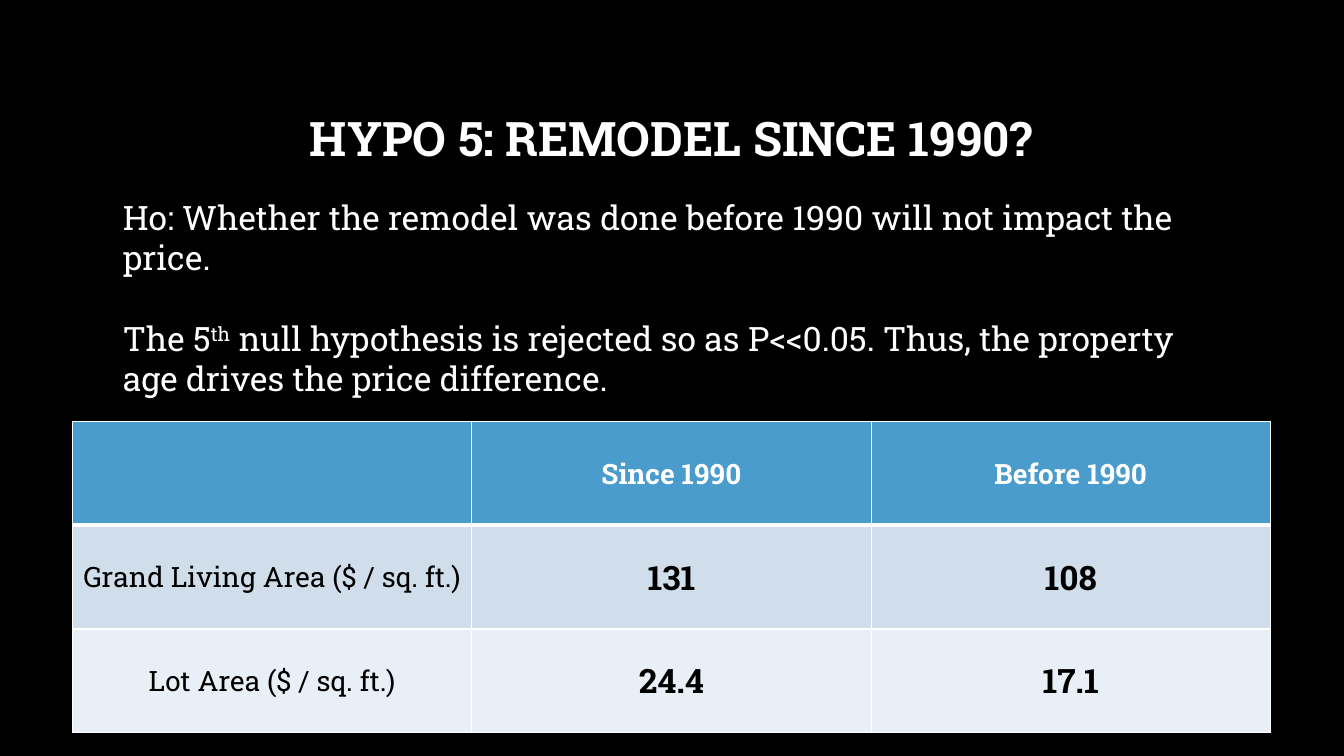
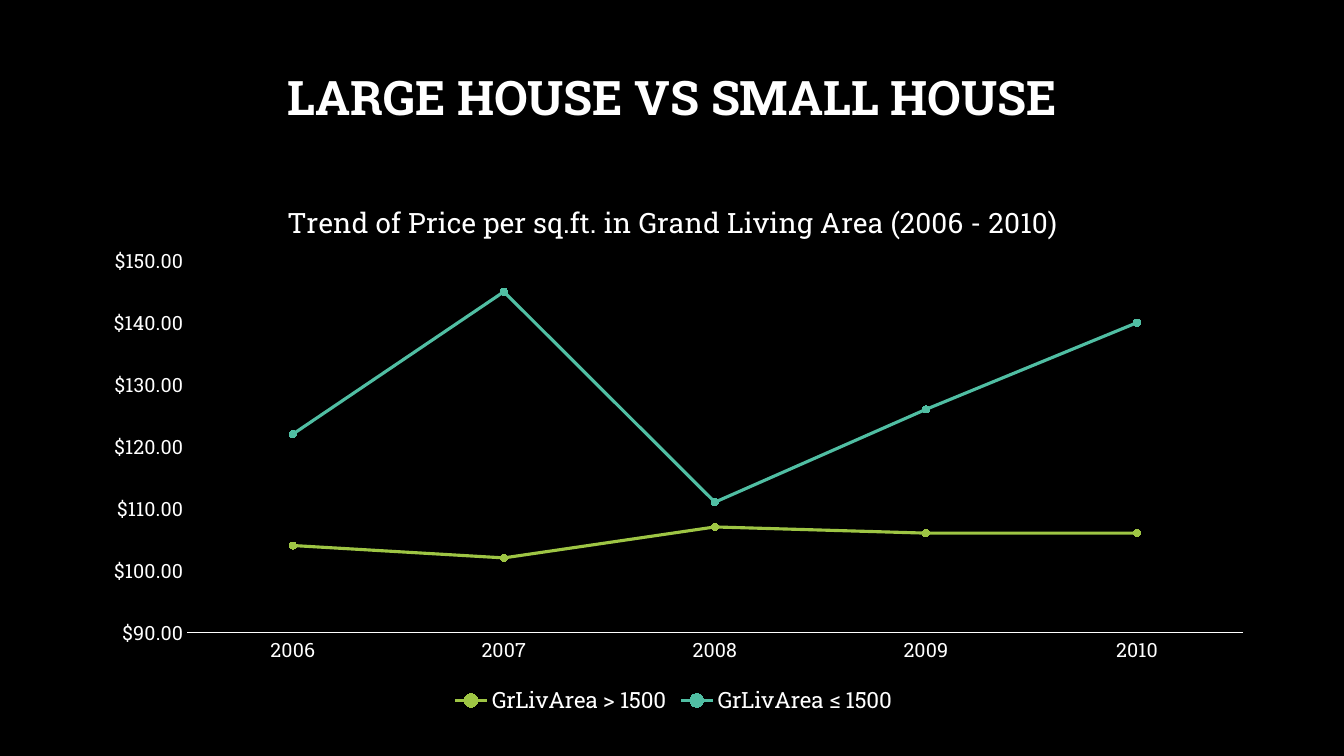
from lxml import etree
from pptx import Presentation
from pptx.chart.data import CategoryChartData
from pptx.dml.color import RGBColor
from pptx.enum.chart import XL_CHART_TYPE, XL_LEGEND_POSITION, XL_MARKER_STYLE, XL_TICK_MARK
from pptx.enum.text import MSO_ANCHOR, PP_ALIGN
from pptx.oxml import parse_xml
from pptx.oxml.ns import nsdecls, qn
from pptx.util import Inches, Pt

CENTER = PP_ALIGN.CENTER
MIDDLE = MSO_ANCHOR.MIDDLE
NO_TICK = XL_TICK_MARK.NONE
FONT = "Roboto Slab"
COLORS = {
    "background": "000000", "light": "FFFFFF", "dark": "000000",
    "header": "4A9CCC", "band_dark": "D0DEEC", "band_light": "E9EFF6",
    "large_house": "9EC544", "small_house": "50BEA3",
}


def color(name):
    return RGBColor.from_string(COLORS[name])


def style_font(font, size, color_name="light", bold=False):
    font.name = FONT
    font.size = Pt(size)
    font.bold = bold
    font.color.rgb = color(color_name)


prs = Presentation()
prs.slide_width, prs.slide_height = Inches(13.33), Inches(7.5)
background = prs.slide_master.background.fill
background.solid()
background.fore_color.rgb = color("background")

# Titles
slides = []
for title_text, left, top in [
    ("HYPO 5: REMODEL SINCE 1990?", 1, 0.67),
    ("LARGE HOUSE VS SMALL HOUSE", 1.01, 0.27),
]:
    slide = prs.slides.add_slide(prs.slide_layouts[5])
    title = slide.shapes.title
    title.left, title.top = Inches(left), Inches(top)
    title.width, title.height = Inches(11.32), Inches(1.45)
    title.text_frame.vertical_anchor = MIDDLE
    paragraph = title.text_frame.paragraphs[0]
    paragraph.alignment = CENTER
    paragraph.line_spacing = 0.9
    run = paragraph.add_run()
    run.text = title_text
    style_font(run.font, 34, bold=True)
    slides.append(slide)
hypothesis_slide, trend_slide = slides

# Price comparison table
table_rows = [
    ["", "Since 1990", "Before 1990"],
    ["Grand Living Area ($ / sq. ft.)", "131", "108"],
    ["Lot Area ($ / sq. ft.)", "24.4", "17.1"],
]
row_fills = ["header", "band_dark", "band_light"]
price_table = hypothesis_slide.shapes.add_table(
    3, 3, Inches(0.72), Inches(4.18), Inches(11.88), Inches(3.09)).table
price_table.first_row = False
price_table.horz_banding = False
for r, row in enumerate(table_rows):
    for c, cell_text in enumerate(row):
        cell = price_table.cell(r, c)
        cell.fill.solid()
        cell.fill.fore_color.rgb = color(row_fills[r])
        cell.vertical_anchor = MIDDLE
        paragraph = cell.text_frame.paragraphs[0]
        paragraph.alignment = CENTER
        if cell_text:
            is_header, is_value = r == 0, r > 0 and c > 0
            run = paragraph.add_run()
            run.text = cell_text
            style_font(run.font, 24 if is_value else 20,
                       "light" if is_header else "dark", is_header or is_value)

        # White borders, with a thicker rule below the header
        cell_properties = cell._tc.get_or_add_tcPr()
        for i, side in enumerate(["lnL", "lnR", "lnT", "lnB"]):
            under_header = (r, side) in [(0, "lnB"), (1, "lnT")]
            cell_properties.insert(i, parse_xml(
                f'<a:{side} {nsdecls("a")} w="{Pt(3 if under_header else 1)}">'
                f'<a:solidFill><a:srgbClr val="{COLORS["light"]}"/></a:solidFill></a:{side}>'))

# Hypothesis and finding
hypothesis_box = hypothesis_slide.shapes.add_textbox(
    Inches(1.12), Inches(1.9), Inches(11.08), Inches(2.12))
hypothesis_frame = hypothesis_box.text_frame
hypothesis_frame.word_wrap = True
statements = [
    ["Ho: Whether the remodel was done before 1990 will not impact the price."],
    ["The 5", "th", " null hypothesis is rejected so as P<<0.05. "
     "Thus, the property age drives the price difference."],
]
for i, statement in enumerate(statements):
    paragraph = hypothesis_frame.add_paragraph() if i else hypothesis_frame.paragraphs[0]
    paragraph.space_before = Pt(29 * i)
    for part in statement:
        run = paragraph.add_run()
        run.text = part
        style_font(run.font, 24)
        if part == "th":
            run.font._element.set("baseline", "30000")

# Price trend chart
trend_data = CategoryChartData()
trend_data.categories = ["2006", "2007", "2008", "2009", "2010"]
trend_data.add_series("GrLivArea > 1500", [104, 102, 107, 106, 106])
trend_data.add_series("GrLivArea ≤ 1500", [122, 145, 111, 126, 140])
chart = trend_slide.shapes.add_chart(
    XL_CHART_TYPE.LINE_MARKERS, Inches(0.8), Inches(1.72),
    Inches(11.76), Inches(5.42), trend_data).chart
style_font(chart.font, 10)

chart.has_title = True
run = chart.chart_title.text_frame.paragraphs[0].add_run()
run.text = "Trend of Price per sq.ft. in Grand Living Area (2006 - 2010)"
style_font(run.font, 20)
chart.has_legend = True
chart.legend.position = XL_LEGEND_POSITION.BOTTOM
chart.legend.include_in_layout = False
style_font(chart.legend.font, 16)

# Axes
year_axis, price_axis = chart.category_axis, chart.value_axis
for axis in (year_axis, price_axis):
    axis.major_tick_mark = axis.minor_tick_mark = NO_TICK
    axis.has_major_gridlines = False
    style_font(axis.tick_labels.font, 14)
year_axis.format.line.color.rgb = color("light")
year_axis.format.line.width = Pt(0.75)
price_axis.format.line.fill.background()
price_axis.minimum_scale, price_axis.maximum_scale = 90, 150
price_axis.major_unit = 10
price_axis.tick_labels.number_format = '"$"#,##0.00'
price_axis.tick_labels.number_format_is_linked = False

# Series
for series, color_name in zip(chart.plots[0].series, ["large_house", "small_house"]):
    series.smooth = False
    series.format.line.color.rgb = color(color_name)
    series.format.line.width = Pt(2.25)
    series.marker.style = XL_MARKER_STYLE.CIRCLE
    series.marker.size = 5
    series.marker.format.fill.solid()
    series.marker.format.fill.fore_color.rgb = color(color_name)
    series.marker.format.line.color.rgb = color(color_name)

# Places of the chart title and the plot, as shares of the chart
chart_xml = chart._chartSpace.chart
for owner, after, settings in [
    (chart_xml.find(qn("c:title")), "c:tx",
     [("xMode", "edge"), ("yMode", "edge"), ("x", 0.17), ("y", 0.04)]),
    (chart_xml.plotArea, None,
     [("layoutTarget", "inner"), ("xMode", "edge"), ("yMode", "edge"),
      ("x", 0.09), ("y", 0.16), ("w", 0.89), ("h", 0.68)]),
]:
    for old_layout in owner.findall(qn("c:layout")):
        owner.remove(old_layout)
    layout = etree.Element(qn("c:layout"))
    manual_layout = etree.SubElement(layout, qn("c:manualLayout"))
    for tag, value in settings:
        etree.SubElement(manual_layout, qn(f"c:{tag}")).set("val", str(value))
    owner.insert(owner.index(owner.find(qn(after))) + 1 if after else 0, layout)

prs.save("out.pptx")
